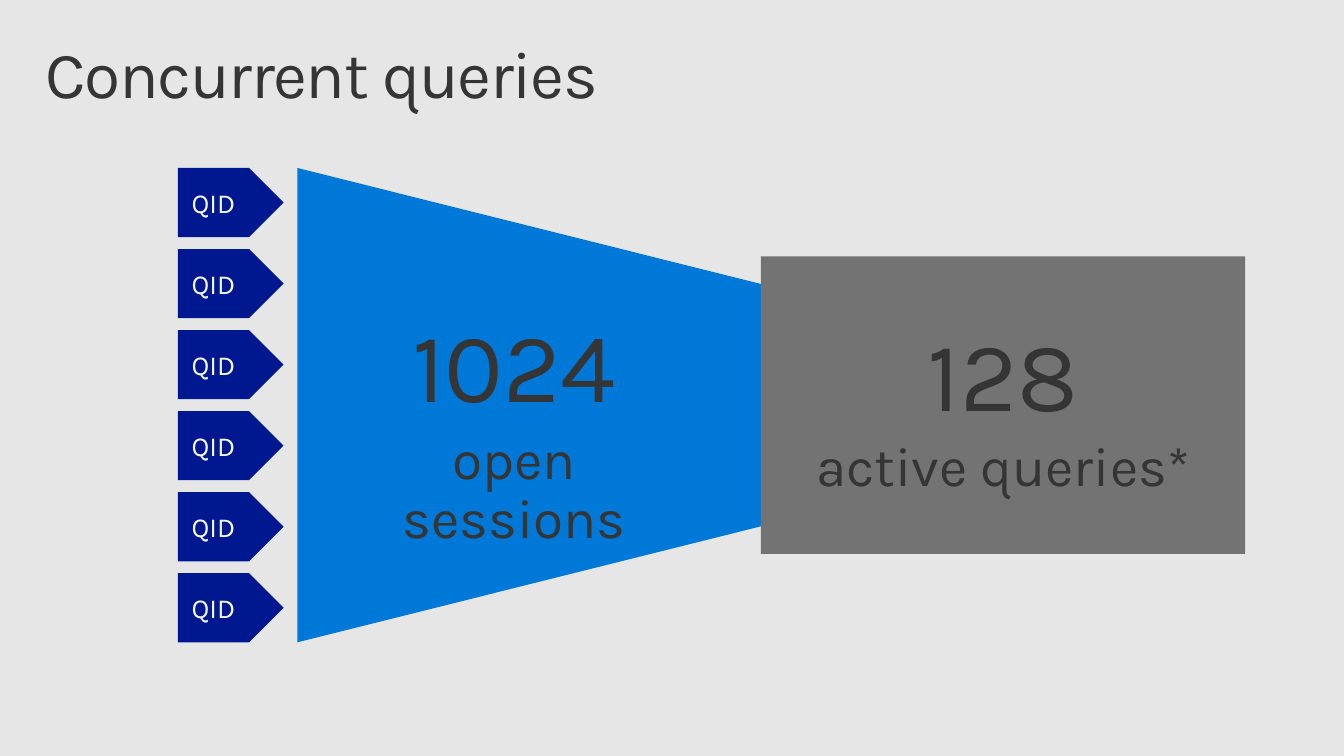
from pptx import Presentation
from pptx.dml.color import RGBColor
from pptx.enum.shapes import MSO_SHAPE
from pptx.enum.text import MSO_ANCHOR, MSO_AUTO_SIZE, PP_ALIGN
from pptx.util import Inches, Pt

ARROW = MSO_SHAPE.RIGHT_ARROW
TRIANGLE = MSO_SHAPE.FLOWCHART_EXTRACT
RECTANGLE = MSO_SHAPE.RECTANGLE
TOP, MIDDLE = MSO_ANCHOR.TOP, MSO_ANCHOR.MIDDLE
LEFT, CENTER = PP_ALIGN.LEFT, PP_ALIGN.CENTER
GROW = MSO_AUTO_SIZE.SHAPE_TO_FIT_TEXT

FONT = "Karla"
DARK = "353535"
QUERY_COUNT = 6


def color(value):
    return RGBColor.from_string(value)


def box(left, top, width, height):
    return Inches(left), Inches(top), Inches(width), Inches(height)


def add_filled(slide, kind, area, fill):
    shape = slide.shapes.add_shape(kind, *box(*area))
    shape.shadow.inherit = False
    shape.fill.solid()
    shape.fill.fore_color.rgb = color(fill)
    shape.line.fill.background()
    return shape


def write(shape, lines, ink, inset, anchor=MIDDLE, align=CENTER, spacing=1, after=0):
    frame = shape.text_frame
    frame.word_wrap = True
    frame.vertical_anchor = anchor
    frame.margin_left = frame.margin_right = Inches(inset[0])
    frame.margin_top = frame.margin_bottom = Inches(inset[1])
    for index, (words, size) in enumerate(lines):
        paragraph = frame.add_paragraph() if index else frame.paragraphs[0]
        paragraph.text = words
        paragraph.alignment = align
        paragraph.line_spacing = spacing
        paragraph.space_after = Pt(after)
        paragraph.font.name = FONT
        paragraph.font.size = Pt(size)
        paragraph.font.color.rgb = color(ink)
    return frame


def add_title(slide, left, top, width, height):
    title = slide.shapes.add_textbox(*box(left, top, width, height))
    frame = write(title, [("Concurrent queries", 48)], DARK, (0.16, 0.1),
                  TOP, LEFT, 0.9)
    frame.paragraphs[0].runs[0]._r.get_or_add_rPr().set("spc", "-100")


def add_query_arrows(slide, left, top, width, height):
    arrow_height = 0.7
    pitch = (height - arrow_height) / (QUERY_COUNT - 1)
    for index in range(QUERY_COUNT):
        area = (left, top + index * pitch, width, arrow_height)
        query = add_filled(slide, ARROW, area, "00188F")
        query.adjustments[0] = 1
        query.adjustments[1] = 0.5
        write(query, [("QID", 20)], "F8F8F8", (0, 0.05))


def add_funnel(slide, left, top, width, height):
    middle_x, middle_y = left + width / 2, top + height / 2
    upright = (middle_x - height / 2, middle_y - width / 2, height, width)
    funnel = add_filled(slide, TRIANGLE, upright, "0078D7")
    funnel.rotation = 90

    active_width, active_height = 4.9, 3.01
    active_area = (left + width - active_width, middle_y - active_height / 2,
                   active_width, active_height)
    active = add_filled(slide, RECTANGLE, active_area, "737373")
    write(active, [("128", 72), ("active queries*", 40)], DARK, (0, 0.05))

    sessions = slide.shapes.add_textbox(*box(left + 0.33, top + 1.35, 3.72, 2.14))
    frame = write(sessions, [("1024", 72), ("open sessions", 40)], DARK,
                  (0.2, 0.16), TOP, spacing=0.9, after=6)
    frame.auto_size = GROW


def main():
    deck = Presentation()
    deck.slide_width, deck.slide_height = Inches(13.6), Inches(7.65)
    slide = deck.slides.add_slide(deck.slide_layouts[6])
    slide.background.fill.solid()
    slide.background.fill.fore_color.rgb = color("E6E6E6")
    add_title(slide, 0.3, 0.32, 13, 1)
    add_query_arrows(slide, 1.8, 1.7, 1.07, 4.8)
    add_funnel(slide, 3.01, 1.7, 9.59, 4.8)
    deck.save("out.pptx")


if __name__ == "__main__":
    main()
